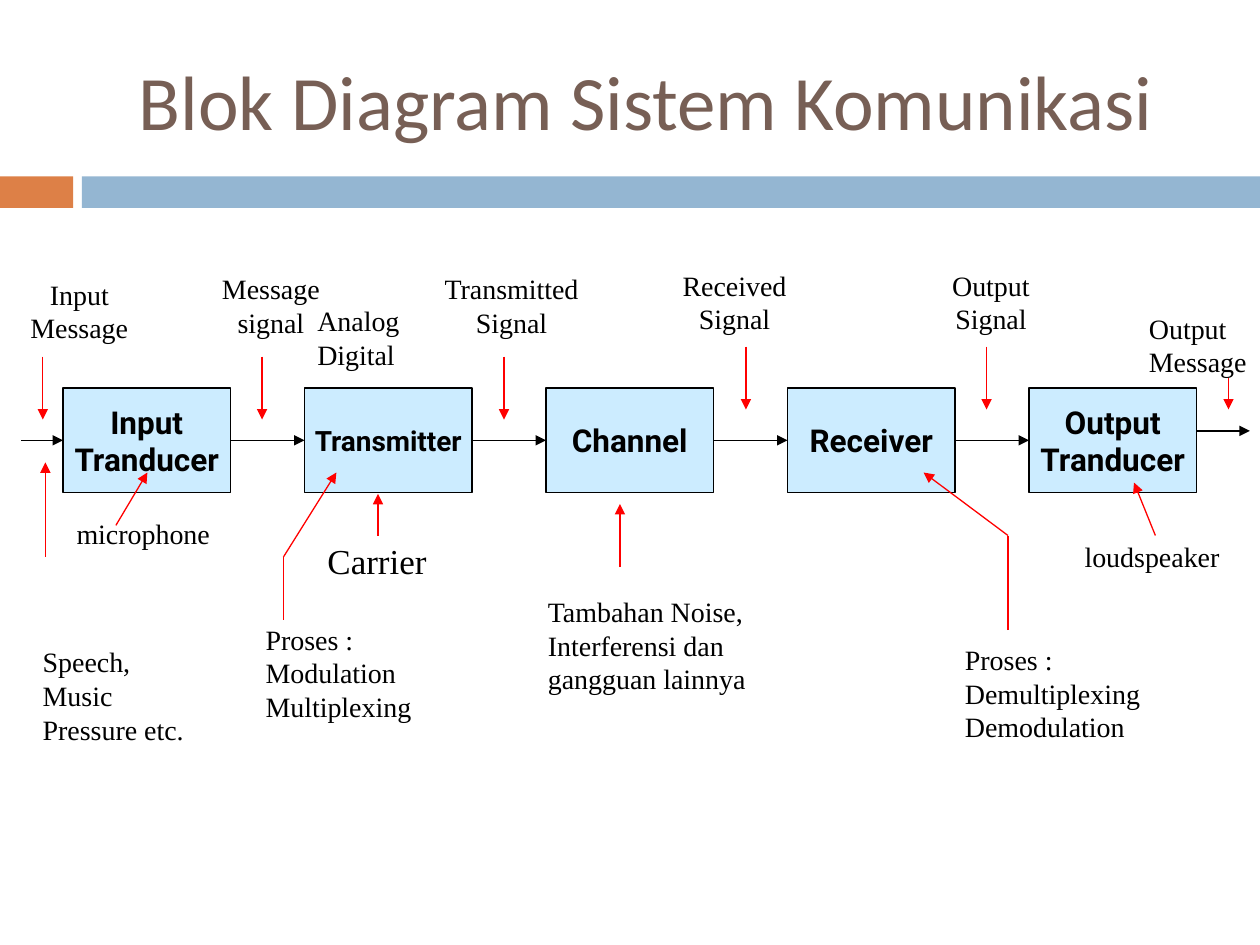
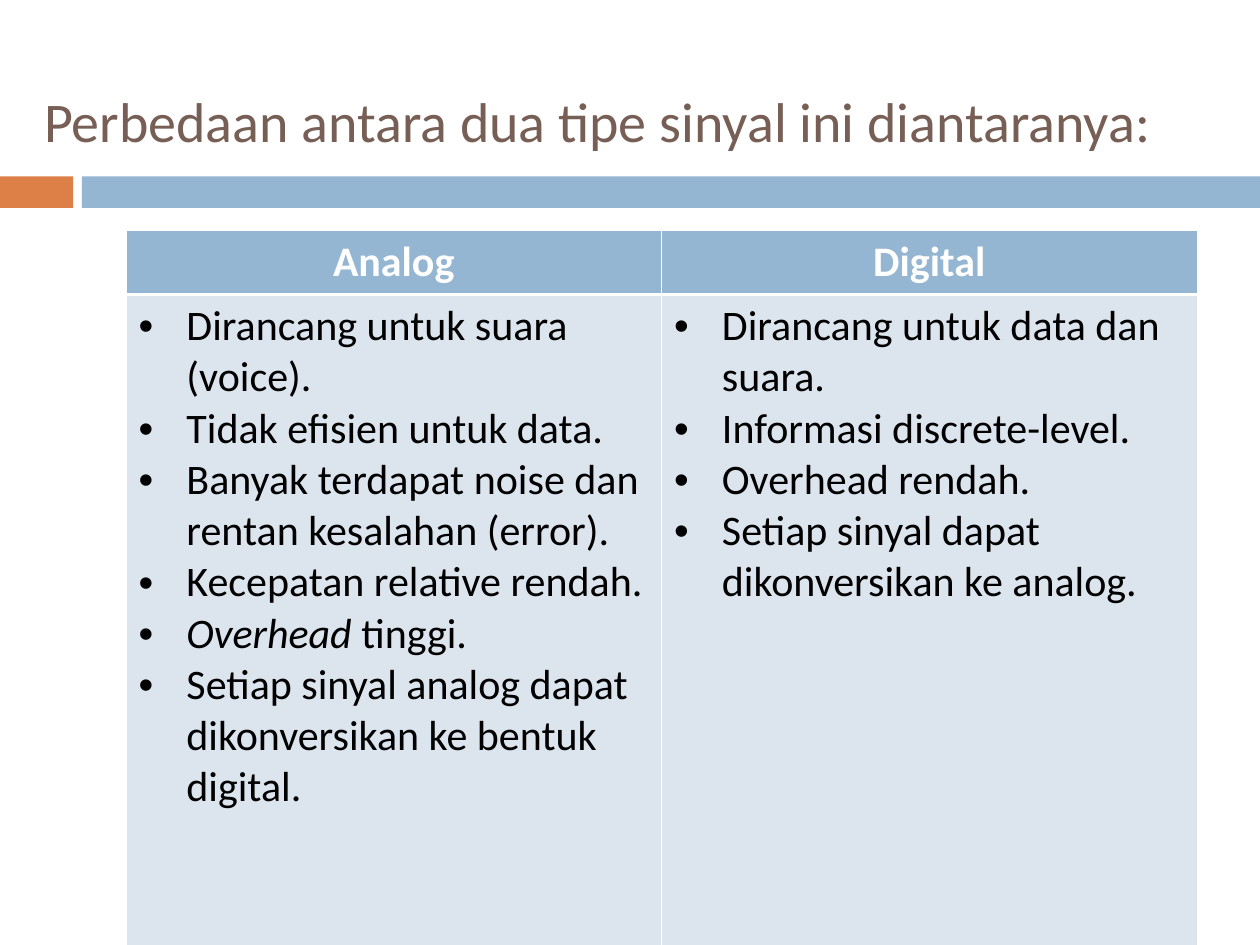
from collections import namedtuple
from itertools import pairwise

from lxml import etree
from pptx import Presentation
from pptx import util as u
from pptx.dml.color import RGBColor
from pptx.enum import shapes, text
from pptx.oxml import ns

ORANGE = RGBColor(0xDD, 0x80, 0x47)
BLUE = RGBColor(0x94, 0xB6, 0xD2)
BROWN = RGBColor(0x77, 0x5F, 0x55)
SKY = RGBColor(0xCC, 0xEC, 0xFF)
PALE = RGBColor(0xDC, 0xE5, 0xEE)
BLACK = RGBColor(0, 0, 0)
RED = RGBColor(0xFF, 0, 0)
WHITE = RGBColor(0xFF, 0xFF, 0xFF)

HEADING, STAGE, LABEL = "Calibri", "Roboto", "Times New Roman"
LEFT, CENTER = text.PP_ALIGN.LEFT, text.PP_ALIGN.CENTER
TOP, MIDDLE = text.MSO_ANCHOR.TOP, text.MSO_ANCHOR.MIDDLE

Box = namedtuple("Box", "left top width height")

STAGES = [
    ("Input\nTranducer", 18),
    ("Transmitter", 16),
    ("Channel", 18),
    ("Receiver", 18),
    ("Output\nTranducer", 18),
]
STAGE_PITCH, STAGE_WIDTH, STAGE_HEIGHT = 23 / 12, 1.33, 0.83
STAGE_LEFT, STAGE_TOP = 0.5, 1.08

SIGNALS = [
    ("Input\nMessage", Box(0.13, 0.15, 1, 0.64), CENTER),
    ("Message\nsignal", Box(1.65, 0.11, 1, 0.64), CENTER),
    ("Transmitted\nSignal", Box(3.4, 0.11, 1.32, 0.64), CENTER),
    ("Received\nSignal", Box(5.3, 0.08, 1.06, 0.64), CENTER),
    ("Output\nSignal", Box(7.43, 0.08, 0.87, 0.64), CENTER),
    ("Output\nMessage", Box(9.02, 0.42, 0.98, 0.64), LEFT),
    ("Analog\nDigital", Box(2.42, 0.36, 0.91, 0.64), LEFT),
]
SIGNAL_ARROWS = [
    (0.34, 0.83, 1.33),
    (2.08, 0.83, 1.33),
    (4, 0.83, 1.33),
    (5.92, 0.75, 1.25),
    (7.83, 0.75, 1.25),
    (9.75, 1, 1.25),
]
NOTES = [
    ("microphone", Box(0.51, 2.05, 1.26, 0.37), 16, [(0.92, 2.17), (1.17, 1.75)]),
    ("Speech,\nMusic\nPressure etc.", Box(0.24, 3.07, 1.32, 0.9), 16,
     [(0.36, 2.42), (0.36, 1.67)]),
    ("Proses :\nModulation\nMultiplexing", Box(2.01, 2.89, 1.36, 0.9), 16,
     [(2.25, 2.92), (2.25, 2.42), (2.67, 1.75)]),
    ("Carrier", Box(2.5, 2.23, 0.99, 0.44), 20, [(3, 2.25), (3, 1.92)]),
    ("Tambahan Noise, Interferensi dan gangguan lainnya",
     Box(4.25, 2.67, 2.42, 0.9), 16, [(4.92, 2.5), (4.92, 2)]),
    ("Proses :\nDemultiplexing\nDemodulation", Box(7.56, 3.05, 1.59, 0.9), 16,
     [(8, 3), (8, 2.25), (7.33, 1.75)]),
    ("loudspeaker", Box(8.51, 2.23, 1.27, 0.37), 16, [(9.17, 2.25), (9, 1.83)]),
]

COMPARISON = {
    "Analog": [
        "Dirancang untuk suara (voice).",
        "Tidak efisien untuk data.",
        "Banyak terdapat noise dan rentan kesalahan (error).",
        "Kecepatan relative rendah.",
        "*Overhead* tinggi.",
        "Setiap sinyal analog dapat dikonversikan ke bentuk digital.",
    ],
    "Digital": [
        "Dirancang untuk data dan suara.",
        "Informasi discrete-level.",
        "Overhead rendah.",
        "Setiap sinyal dapat dikonversikan ke analog.",
    ],
}


def inches(values):
    return [u.Inches(value) for value in values]


def inside(region, part):
    return part._replace(left=region.left + part.left, top=region.top + part.top)


def add_child(parent, tag, **attributes):
    return etree.SubElement(parent, ns.qn(tag), attributes)


def write(frame, content, font, size, color=BLACK, bold=False, align=LEFT, bullet=False):
    for index, line in enumerate(content.split("\n")):
        para = frame.paragraphs[0] if index == 0 else frame.add_paragraph()
        para.alignment = align
        if bullet:
            properties = para._p.get_or_add_pPr()
            properties.set("marL", str(u.Inches(0.38)))
            properties.set("indent", str(-u.Inches(0.38)))
            add_child(properties, "a:buFont", typeface="Arial")
            add_child(properties, "a:buChar", char="•")
        for part, piece in enumerate(line.split("*")):
            if piece:
                span = para.add_run()
                span.text = piece
                span.font.name = font
                span.font.size = u.Pt(size)
                span.font.bold = bold
                span.font.italic = part % 2 == 1
                span.font.color.rgb = color


def add_rectangle(page, box, fill, line=None):
    shape = page.shapes.add_shape(shapes.MSO_SHAPE.RECTANGLE, *inches(box))
    shape.shadow.inherit = False
    shape.fill.solid()
    shape.fill.fore_color.rgb = fill
    if line is None:
        shape.line.fill.background()
    else:
        shape.line.color.rgb = line
        shape.line.width = u.Pt(0.75)
    return shape


def add_label(page, content, box, size=16, align=LEFT):
    frame = page.shapes.add_textbox(*inches(box)).text_frame
    frame.word_wrap = "\n" not in content and " " in content
    frame.auto_size = text.MSO_AUTO_SIZE.SHAPE_TO_FIT_TEXT
    write(frame, content, LABEL, size, align=align)


def add_arrow(page, region, points, color):
    placed = [(region.left + x, region.top + y) for x, y in points]
    for start, end in pairwise(placed):
        line = page.shapes.add_connector(
            shapes.MSO_CONNECTOR.STRAIGHT, *inches(start + end))
        line.line.color.rgb = color
        line.line.width = u.Pt(0.75)
        if end == placed[-1]:
            add_child(line.line._get_or_add_ln(), "a:tailEnd", type="triangle")
        add_child(line._element.spPr, "a:effectLst")
        line._element.remove(line._element.find(ns.qn("p:style")))


def add_page(deck, title, box, size, align=LEFT):
    page = deck.slides.add_slide(deck.slide_layouts[5])
    heading = page.shapes.title
    heading.left, heading.top, heading.width, heading.height = inches(box)
    frame = heading.text_frame
    frame.auto_size = text.MSO_AUTO_SIZE.NONE
    frame.vertical_anchor = MIDDLE
    write(frame, title, HEADING, size, BROWN, align=align)
    add_rectangle(page, Box(0, 1.4, 0.58, 0.25), ORANGE)
    add_rectangle(page, Box(0.65, 1.4, 9.35, 0.25), BLUE)
    return page


def add_stages(page, region):
    middle = STAGE_TOP + STAGE_HEIGHT / 2
    for index, (name, size) in enumerate(STAGES):
        left = STAGE_LEFT + index * STAGE_PITCH
        box = Box(left, STAGE_TOP, STAGE_WIDTH, STAGE_HEIGHT)
        frame = add_rectangle(page, inside(region, box), SKY, BLACK).text_frame
        frame.word_wrap = False
        frame.vertical_anchor = MIDDLE
        write(frame, name, STAGE, size, bold=True, align=CENTER)
        start = left - STAGE_PITCH + STAGE_WIDTH if index else 0.17
        add_arrow(page, region, [(start, middle), (left, middle)], BLACK)
    add_arrow(page, region, [(9.5, 1.42), (9.92, 1.42)], BLACK)


def add_signals(page, region):
    for name, box, align in SIGNALS:
        add_label(page, name, inside(region, box), align=align)
    for x, start, end in SIGNAL_ARROWS:
        add_arrow(page, region, [(x, start), (x, end)], RED)


def add_notes(page, region):
    for note, box, size, points in NOTES:
        add_label(page, note, inside(region, box), size)
        add_arrow(page, region, points, RED)


def add_borders(cell, **widths):
    for side, width in widths.items():
        line = add_child(cell._tc.get_or_add_tcPr(), f"a:{side}", w=str(u.Pt(width)))
        fill = add_child(line, "a:solidFill")
        add_child(fill, "a:srgbClr", val=str(WHITE))


def add_comparison(page, box):
    table = page.shapes.add_table(2, len(COMPARISON), *inches(box)).table
    table.rows[0].height = u.Inches(0.5)
    table.rows[1].height = u.Inches(box.height - 0.5)
    for column, (kind, traits) in enumerate(COMPARISON.items()):
        header, body = table.cell(0, column), table.cell(1, column)
        add_borders(header, lnL=0.45, lnR=0.45, lnT=0.45, lnB=1.47)
        add_borders(body, lnL=0.45, lnR=0.45, lnT=1.47, lnB=0.45)
        for cell, color in ((header, BLUE), (body, PALE)):
            cell.fill.solid()
            cell.fill.fore_color.rgb = color
            cell.vertical_anchor = TOP
        write(header.text_frame, kind, HEADING, 24, WHITE, bold=True, align=CENTER)
        write(body.text_frame, "\n".join(traits), HEADING, 24, bullet=True)


def main():
    deck = Presentation()
    deck.slide_width, deck.slide_height = u.Inches(10), u.Inches(7.5)

    page = add_page(deck, "Blok Diagram Sistem Komunikasi",
                    Box(0.67, 0.25, 8.92, 1.08), 44, CENTER)
    diagram = Box(0, 2, 10, 4)
    add_stages(page, diagram)
    add_signals(page, diagram)
    add_notes(page, diagram)

    page = add_page(deck, "Perbedaan antara dua tipe sinyal ini diantaranya:",
                    Box(0.25, 0.33, 9.75, 1.25), 32)
    add_comparison(page, Box(1, 1.83, 8.5, 5.67))

    deck.save("out.pptx")


if __name__ == "__main__":
    main()
